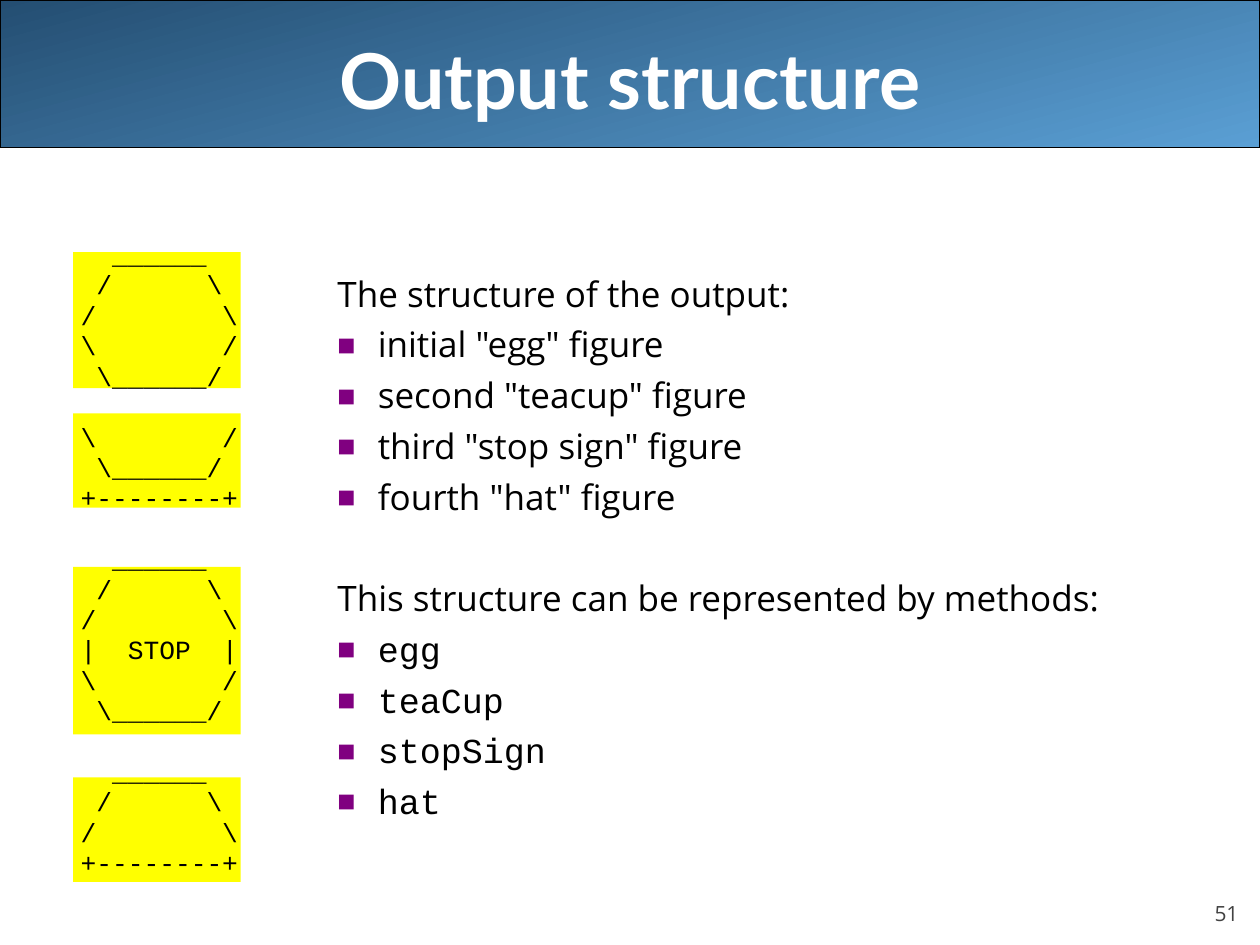
from dataclasses import dataclass

from lxml import etree
from pptx import Presentation
from pptx.dml.color import RGBColor
from pptx.enum.shapes import MSO_SHAPE
from pptx.enum.text import MSO_ANCHOR, MSO_AUTO_SIZE, PP_ALIGN
from pptx.oxml.ns import qn
from pptx.util import Inches, Pt

RECT = MSO_SHAPE.RECTANGLE
TOP, MIDDLE, BOTTOM = MSO_ANCHOR.TOP, MSO_ANCHOR.MIDDLE, MSO_ANCHOR.BOTTOM
LEFT, CENTER, RIGHT = PP_ALIGN.LEFT, PP_ALIGN.CENTER, PP_ALIGN.RIGHT
NO_FIT = MSO_AUTO_SIZE.NONE


@dataclass(frozen=True)
class Theme:
    """Colours, fonts and type sizes of the slide."""
    dark: str = "244E72"
    light: str = "5A9FD4"
    black: str = "000000"
    white: str = "FFFFFF"
    grey: str = "424242"
    yellow: str = "FFFF00"
    purple: str = "800080"
    head_font: str = "Lato"
    body_font: str = "Open Sans"
    code_font: str = "Courier New"
    title_size: float = 44
    list_size: float = 20
    code_size: float = 15
    number_size: float = 12
    list_line: float = 24
    list_gap: float = 5
    code_line: float = 17.4


THEME = Theme()

FIGURES = [
    ["  ______", " /      \\", "/        \\", "\\        /", " \\______/"],
    ["\\        /", " \\______/", "+--------+"],
    ["  ______", " /      \\", "/        \\", "|  STOP  |", "\\        /", " \\______/"],
    ["  ______", " /      \\", "/        \\", "+--------+"],
]
PANELS = [(2, 1.08), (3.28, 0.75), (4.5, 1.33), (6.17, 0.83)]
SECTIONS = [
    ("The structure of the output:", THEME.body_font,
     ['initial "egg" figure', 'second "teacup" figure',
      'third "stop sign" figure', 'fourth "hat" figure']),
    ("This structure can be represented by methods:", THEME.code_font,
     ["egg", "teaCup", "stopSign", "hat"]),
]


def inches(box):
    """Turn a box of four numbers into lengths."""
    return [Inches(v) for v in box]


def set_bullet(p, indent, char=None):
    """Give a paragraph its hanging indent and a bullet, or none."""
    pPr = p._p.get_or_add_pPr()
    pPr.set("marL", str(Inches(indent)))
    pPr.set("indent", str(-Inches(indent) if char else 0))
    if char is None:
        etree.SubElement(pPr, qn("a:buNone"))
        return
    color = etree.SubElement(pPr, qn("a:buClr"))
    etree.SubElement(color, qn("a:srgbClr"), val=THEME.purple)
    etree.SubElement(pPr, qn("a:buSzPct"), val="55000")
    etree.SubElement(pPr, qn("a:buFont"), typeface=THEME.body_font)
    etree.SubElement(pPr, qn("a:buChar"), char=char)


def add_text(tf, text, size, font=THEME.body_font, color=THEME.black, bold=False,
             align=LEFT, line=None, before=0, indent=None, bullet=None):
    """Write one formatted paragraph, using the first one while it is empty."""
    p = tf.add_paragraph() if tf.paragraphs[0].runs else tf.paragraphs[0]
    p.alignment = align
    p.space_before = Pt(before)
    if line:
        p.line_spacing = Pt(line)
    if indent is not None:
        set_bullet(p, indent, bullet)
    r = p.add_run()
    r.text = text
    r.font.name, r.font.size, r.font.bold = font, Pt(size), bold
    r.font.color.rgb = RGBColor.from_string(color)


def set_frame(sp, box, anchor=TOP, margins=(0.1, 0.05, 0.1, 0.05)):
    """Place a text shape and return its prepared text frame."""
    sp.left, sp.top, sp.width, sp.height = inches(box)
    tf = sp.text_frame
    tf.word_wrap, tf.auto_size, tf.vertical_anchor = True, NO_FIT, anchor
    tf.margin_left, tf.margin_top, tf.margin_right, tf.margin_bottom = inches(margins)
    return tf


def add_banner(s, box):
    """Draw the gradient band behind the title."""
    sp = s.shapes.add_shape(RECT, *inches(box))
    sp.shadow.inherit = False
    sp.fill.gradient()
    sp.fill.gradient_angle = 285
    for stop, color in zip(sp.fill.gradient_stops, (THEME.dark, THEME.light)):
        stop.color.rgb = RGBColor.from_string(color)
    sp.line.color.rgb = RGBColor.from_string(THEME.black)
    sp.line.width = Pt(0.75)


def add_panels(s, left, width):
    """Draw the yellow panels behind the figures."""
    for top, height in PANELS:
        sp = s.shapes.add_shape(RECT, *inches((left, top, width, height)))
        sp.shadow.inherit = False
        sp.fill.solid()
        sp.fill.fore_color.rgb = RGBColor.from_string(THEME.yellow)
        sp.line.fill.background()


def add_title(s, box):
    """Fill the title placeholder in front of the banner."""
    sp = s.shapes.title
    s.shapes._spTree.append(sp._element)
    add_text(set_frame(sp, box, MIDDLE), "Output structure", THEME.title_size,
             font=THEME.head_font, color=THEME.white, bold=True, align=CENTER)


def add_figures(s, box):
    """Fill the body placeholder with the figures, in front of the panels."""
    sp = s.placeholders[1]
    s.shapes._spTree.append(sp._element)
    tf = set_frame(sp, box, margins=(0.1, 0.48, 0.1, 0.05))
    for i, figure in enumerate(FIGURES):
        for j, row in enumerate(figure):
            add_text(tf, row, THEME.code_size, font=THEME.code_font,
                     line=THEME.code_line, indent=0.37,
                     before=THEME.code_line if i and not j else 0)


def add_outline(s, box):
    """Write the two headed lists."""
    sp = s.shapes.add_textbox(*inches(box))
    tf = set_frame(sp, box, margins=(0.1, 0.08, 0.1, 0.05))
    line, gap = THEME.list_line, THEME.list_gap
    for i, (head, font, items) in enumerate(SECTIONS):
        add_text(tf, head, THEME.list_size, line=line, indent=0,
                 before=line + 2 * gap if i else 0)
        for item in items:
            add_text(tf, item, THEME.list_size, font=font, line=line,
                     before=gap, indent=0.32, bullet="■")


def add_number(s, box):
    """Write the slide number."""
    sp = s.shapes.add_textbox(*inches(box))
    add_text(set_frame(sp, box, BOTTOM, (0, 0, 0, 0)), "51", THEME.number_size,
             color=THEME.grey, align=RIGHT)


def main():
    """Build and save the slide."""
    prs = Presentation()
    prs.slide_width, prs.slide_height = Inches(10), Inches(7.5)
    s = prs.slides.add_slide(prs.slide_layouts[1])
    add_banner(s, (0, 0, 10, 1.17))
    add_number(s, (9, 6.95, 0.83, 0.4))
    add_panels(s, 0.58, 1.33)
    add_title(s, (0.5, 0, 9, 1.25))
    add_figures(s, (0.17, 1.42, 9.83, 5.67))
    add_outline(s, (2.58, 2.08, 7.08, 4.46))
    prs.save("out.pptx")


if __name__ == "__main__":
    main()
